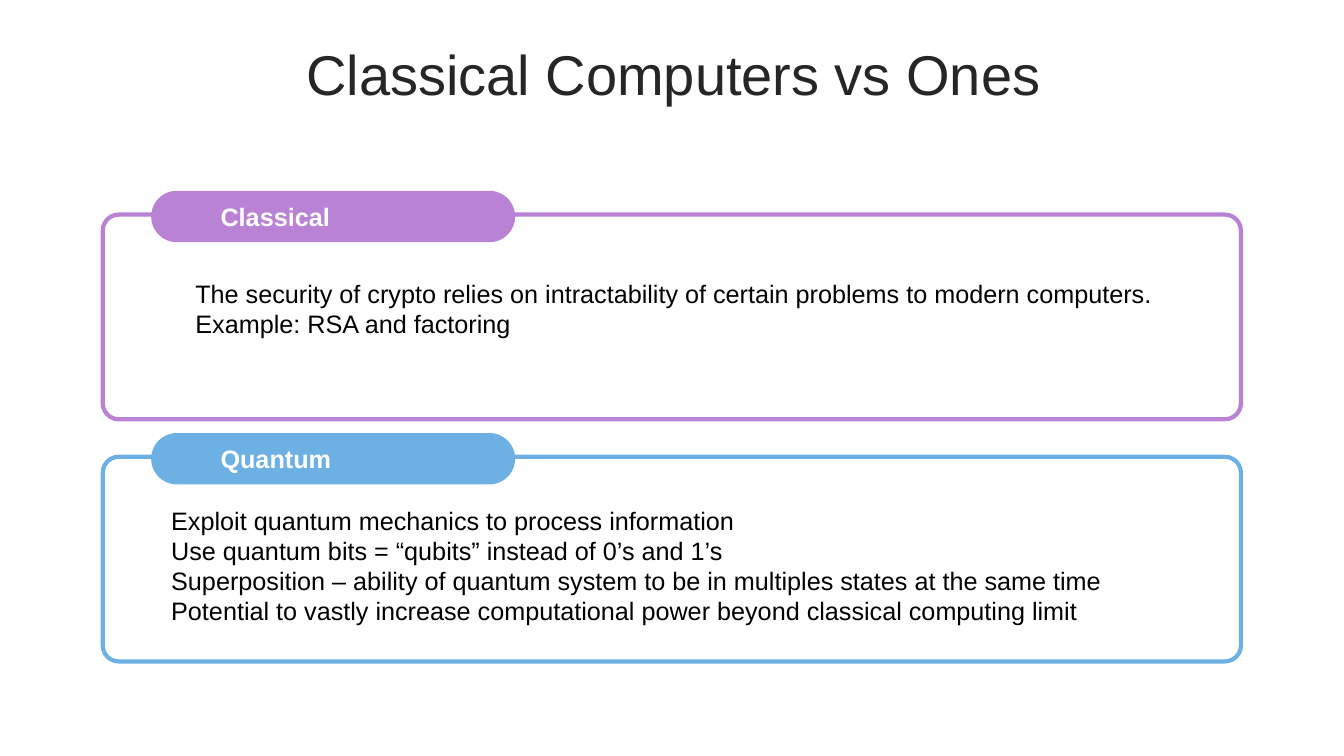
from lxml.etree import SubElement
from pptx import Presentation
from pptx.dml.color import RGBColor
from pptx.enum.shapes import MSO_SHAPE
from pptx.enum.text import MSO_ANCHOR, PP_ALIGN
from pptx.oxml.ns import qn
from pptx.util import Pt

COLORS = {
    "title": "262626",
    "text": "000000",
    "white": "FFFFFF",
    "classical": "B982D5",
    "quantum": "6DB0E4",
}
TITLE_FONT = {"name": "Arial", "size": Pt(40)}
BODY_FONT = {"name": "Arial", "size": Pt(18)}
LABEL_FONT = {**BODY_FONT, "bold": True}
TITLE_PARAGRAPH = {
    "alignment": PP_ALIGN.CENTER,
    "line_spacing": 0.9,
    "space_before": Pt(10),
}

PANEL_LEFT, PANEL_TOP, PANEL_WIDTH, PANEL_HEIGHT = 73.4, 153.3, 813, 146.2
PANEL_PITCH = 173

# label, color, body offset within the panel, body size, lines
PANELS = [
    ("Classical", "classical", (59.1, 41.8), (700.6, 51), [
        "The security of crypto relies on intractability of certain problems"
        " to modern computers.",
        "Example: RSA and factoring",
    ]),
    ("Quantum", "quantum", (41.8, 30.8), (707, 94.3), [
        "Exploit quantum mechanics to process information",
        "Use quantum bits = “qubits” instead of 0’s and 1’s",
        "Superposition – ability of quantum system to be in multiples states"
        " at the same time",
        "Potential to vastly increase computational power beyond classical"
        " computing limit",
    ]),
]


def rgb(color):
    return RGBColor.from_string(COLORS[color])


def set_attrs(obj, values):
    for name, value in values.items():
        setattr(obj, name, value)


def add_text(slide, box, lines, font, color, paragraph=None,
             anchor=MSO_ANCHOR.TOP):
    tf = slide.shapes.add_textbox(*map(Pt, box)).text_frame
    set_attrs(tf, {"word_wrap": True, "vertical_anchor": anchor})
    for i, line in enumerate(lines):
        p = tf.add_paragraph() if i else tf.paragraphs[0]
        set_attrs(p, paragraph or {})
        r = p.add_run()
        r.text = line
        set_attrs(r.font, font)
        r.font.color.rgb = rgb(color)


def add_round_rect(slide, box, radius, fill):
    sp = slide.shapes.add_shape(MSO_SHAPE.ROUNDED_RECTANGLE, *map(Pt, box))
    sp.adjustments[0] = radius
    sp.shadow.inherit = False
    sp.fill.solid()
    sp.fill.fore_color.rgb = rgb(fill)
    sp.line.fill.background()
    return sp


def add_title(slide, box, text):
    add_text(slide, box, [text], TITLE_FONT, "title", TITLE_PARAGRAPH,
             MSO_ANCHOR.MIDDLE)


def add_panel(slide, box, label, color, body_offset, body_size, lines):
    """Outlined panel with a pill label straddling its top edge."""
    left, top = box[:2]
    frame = add_round_rect(slide, box, 0.078, "white")
    srgb = next(frame.fill._xPr.iter(qn("a:srgbClr")))
    SubElement(srgb, qn("a:alpha"), val="50000")
    frame.line.color.rgb = rgb(color)
    frame.line.width = Pt(3)

    add_round_rect(slide, (left + 34.6, top - 17, 260, 36.7), 0.5, color)
    add_text(slide, (left + 77.1, top - 13.4, 175.7, 29), [label],
             LABEL_FONT, "white")
    add_text(slide, (left + body_offset[0], top + body_offset[1], *body_size),
             lines, BODY_FONT, "text")


def main():
    prs = Presentation()
    set_attrs(prs, {"slide_width": Pt(960), "slide_height": Pt(540)})
    slide = prs.slides.add_slide(prs.slide_layouts[6])
    add_title(slide, (25.2, 26.6, 911.5, 56.9), "Classical Computers vs Ones")
    for i, panel in enumerate(PANELS):
        box = (PANEL_LEFT, PANEL_TOP + i * PANEL_PITCH,
               PANEL_WIDTH, PANEL_HEIGHT)
        add_panel(slide, box, *panel)
    prs.save("out.pptx")


if __name__ == "__main__":
    main()
